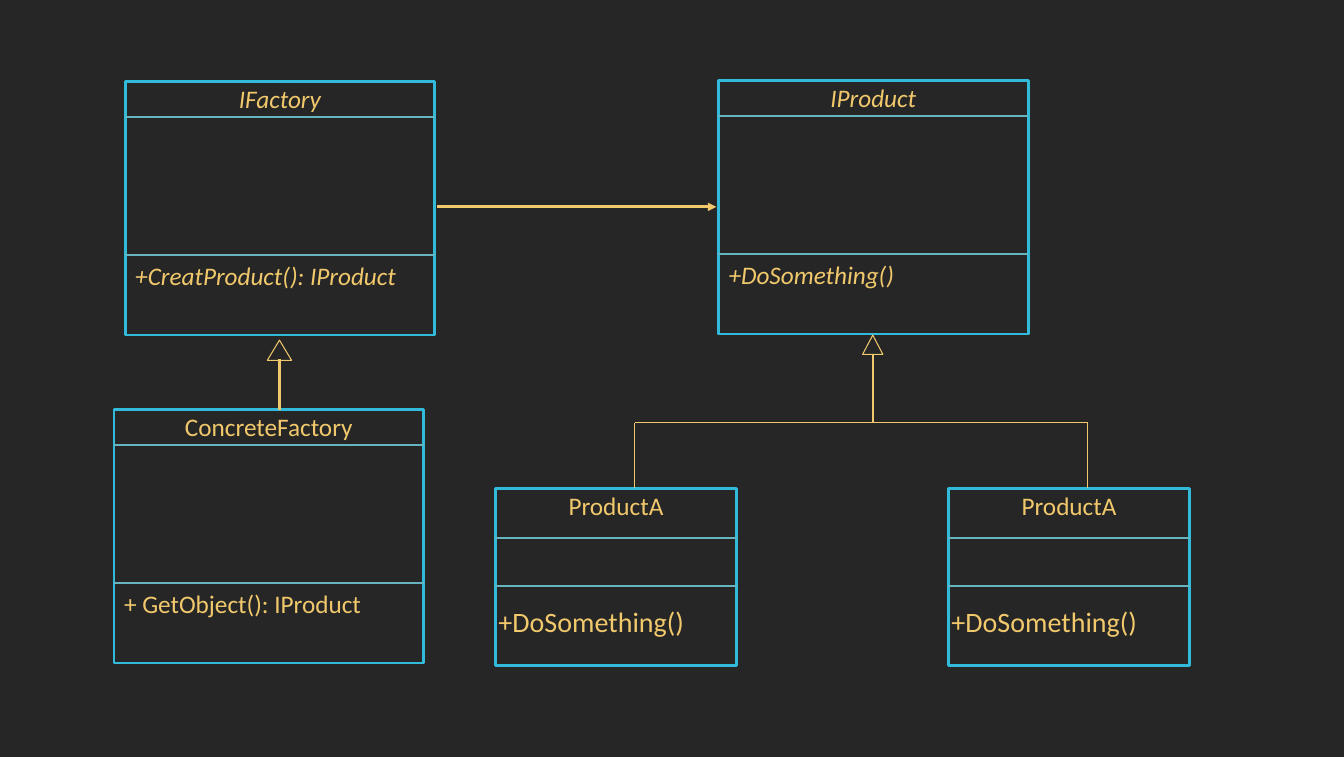
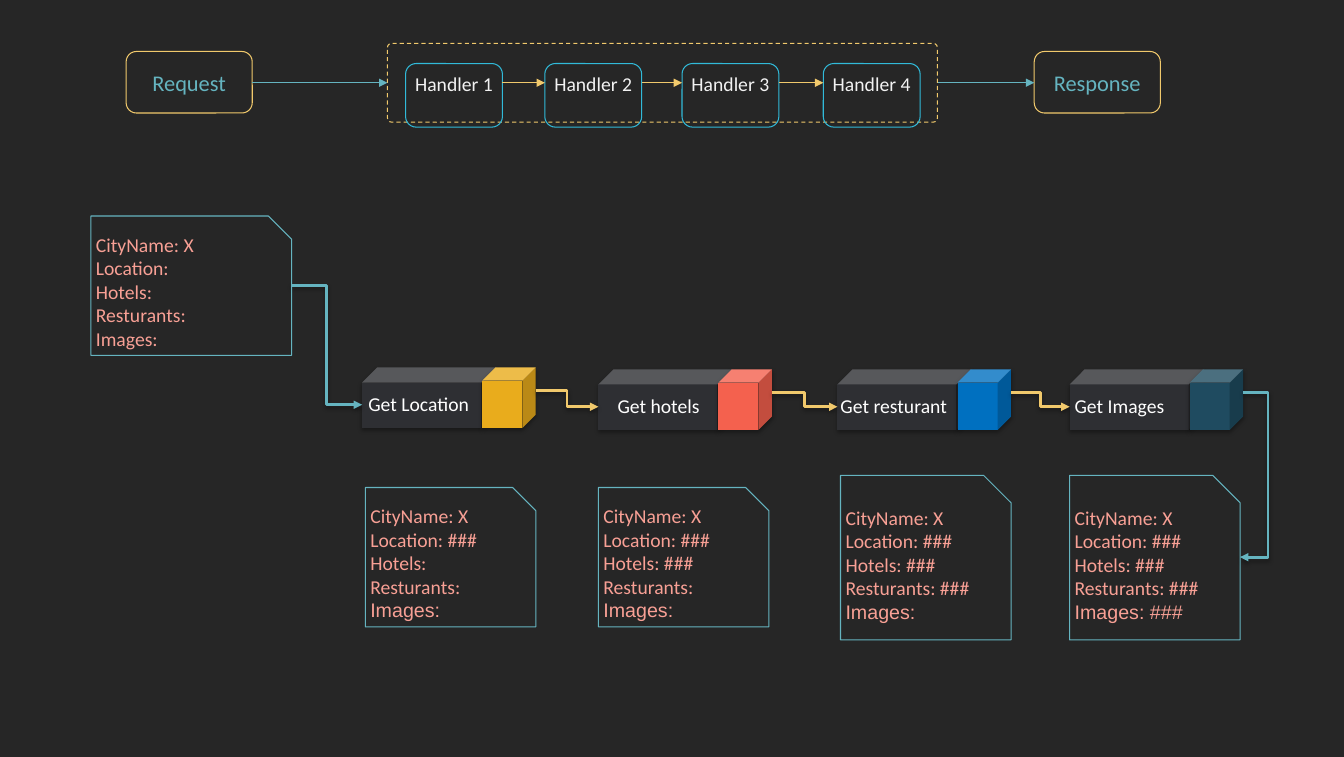
import copy
import dataclasses

import lxml.etree
import pptx
import pptx.dml.color
import pptx.enum.dml
import pptx.enum.shapes
import pptx.enum.text
import pptx.oxml
import pptx.oxml.ns
import pptx.util

SHAPE = pptx.enum.shapes.MSO_SHAPE
CONNECTOR = pptx.enum.shapes.MSO_CONNECTOR
ALIGN = pptx.enum.text.PP_ALIGN
ANCHOR = pptx.enum.text.MSO_ANCHOR


@dataclasses.dataclass(frozen=True)
class Theme:
    background: str = "262626"
    gold: str = "F1C96C"
    cyan: str = "31BAD9"
    teal: str = "65B4C0"
    salmon: str = "F8A095"
    light: str = "F2F2F2"
    white: str = "FFFFFF"
    cube: str = "2E2F33"
    font: str = "Calibri"
    other_font: str = "Arial"
    note_size: int = 14
    step_size: int = 16
    class_size: int = 18
    method_size: int = 20
    hairline: float = 0
    thin: float = 0.75
    medium: float = 1.5
    thick: float = 2
    inset: float = 0.05


theme = Theme()
presentation = pptx.Presentation()
presentation.slide_width = pptx.util.Inches(13.32)
presentation.slide_height = pptx.util.Inches(7.5)

# The grid has 13.32 columns and 7.5 rows
COLUMN = presentation.slide_width / 13.32
ROW = presentation.slide_height / 7.5


def add_box(slide, kind, left, top, width, height, line=None, weight=theme.thin, fill=None,
            text="", size=theme.note_size, colour=theme.gold, align=ALIGN.LEFT,
            anchor=ANCHOR.TOP, italic=False):
    """Add a preset shape, or a text box when kind is None."""
    place = [int(left * COLUMN), int(top * ROW), int(width * COLUMN), int(height * ROW)]
    if kind is None:
        shape = slide.shapes.add_textbox(*place)
    else:
        shape = slide.shapes.add_shape(kind, *place)
        shape.shadow.inherit = False
    if fill:
        shape.fill.solid()
        shape.fill.fore_color.rgb = pptx.dml.color.RGBColor.from_string(fill)
    else:
        shape.fill.background()
    if line:
        shape.line.color.rgb = pptx.dml.color.RGBColor.from_string(line)
        shape.line.width = pptx.util.Pt(weight)
    else:
        shape.line.fill.background()
    if text:
        frame = shape.text_frame
        frame.word_wrap = True
        frame.vertical_anchor = anchor
        frame.margin_left = frame.margin_right = int(theme.inset * COLUMN)
        frame.margin_top = frame.margin_bottom = int(theme.inset * ROW)
        frame.text = text
        for paragraph in frame.paragraphs:
            paragraph.alignment = align
            for run in paragraph.runs:
                run.font.name = theme.font
                run.font.size = pptx.util.Pt(size)
                run.font.italic = italic
                run.font.color.rgb = pptx.dml.color.RGBColor.from_string(colour)
    return shape


def add_line(slide, start, end, colour, weight=theme.thin, arrow=False, kind=CONNECTOR.STRAIGHT):
    """Add a connector from start to end, each given as (column, row)."""
    connector = slide.shapes.add_connector(
        kind, int(start[0] * COLUMN), int(start[1] * ROW), int(end[0] * COLUMN), int(end[1] * ROW))
    connector.line.color.rgb = pptx.dml.color.RGBColor.from_string(colour)
    connector.line.width = pptx.util.Pt(weight)
    if arrow:
        tail = lxml.etree.SubElement(connector.line._get_or_add_ln(), pptx.oxml.ns.qn("a:tailEnd"))
        tail.set("type", "triangle")
    lxml.etree.SubElement(connector._element.spPr, pptx.oxml.ns.qn("a:effectLst"))
    return connector


# Shared background
background = presentation.slide_master.background.fill
background.solid()
background.fore_color.rgb = pptx.dml.color.RGBColor.from_string(theme.background)
blank_layout = presentation.slide_layouts[6]

# Slide 1: factory class diagram
slide = presentation.slides.add_slide(blank_layout)

# Class boxes: size, row splits, method offset and method type size
large = (3.07, 2.51, (0.35, 1.72), (0.05, 1.72), theme.class_size)
small = (2.39, 1.75, (0.49, 0.97), (-0.02, 1.1), theme.method_size)
classes = [
    (1.24, 0.81, large, "IFactory", "+CreatProduct(): IProduct", True),
    (7.12, 0.8, large, "IProduct", "+DoSomething()", True),
    (1.13, 4.06, large, "ConcreteFactory", "+ GetObject(): IProduct", False),
    (4.91, 4.84, small, "ProductA", "+DoSomething()", False),
    (9.4, 4.84, small, "ProductA", "+DoSomething()", False),
]
for left, top, layout, name, method, italic in classes:
    width, height, splits, offset, method_size = layout
    add_box(slide, SHAPE.RECTANGLE, left, top, width, height, theme.cyan, theme.thick)
    for split in splits:
        add_line(slide, (left, top + split), (left + width, top + split), theme.teal, theme.medium)
    add_box(slide, None, left + 0.05, top - 0.03, width - 0.1, 0.4, text=name,
            size=theme.class_size, align=ALIGN.CENTER, italic=italic)
    add_box(slide, None, left + offset[0], top + offset[1], width - 0.05, 0.43, text=method,
            size=method_size, italic=italic)

# Factory uses product
add_line(slide, (4.33, 2.05), (7.1, 2.05), theme.gold, theme.hairline, arrow=True)

# Inheritance of the factory
add_box(slide, SHAPE.ISOSCELES_TRIANGLE, 2.65, 3.37, 0.24, 0.2, theme.gold, theme.hairline)
add_line(slide, (2.77, 3.56), (2.77, 4.06), theme.gold, theme.hairline)

# Inheritance of the products: trunk, bar and one drop for each child
trunk, bar, children = 8.65, 4.19, (6.29, 10.78)
add_box(slide, SHAPE.ISOSCELES_TRIANGLE, trunk - 0.1, 3.32, 0.2, 0.19, theme.gold)
add_line(slide, (trunk, 3.52), (trunk, bar), theme.gold, theme.medium)
add_line(slide, (children[0], bar), (children[1], bar), theme.gold)
for child in children:
    add_line(slide, (child, bar), (child, 4.84), theme.gold)

# Slide 2: chain of handlers
slide = presentation.slides.add_slide(blank_layout)
axis = 0.82

# Request and response
for left, text in ((1.25, "Request"), (10.25, "Response")):
    add_box(slide, SHAPE.ROUNDED_RECTANGLE, left, 0.51, 1.25, 0.61, theme.gold, text=text,
            size=theme.step_size, colour=theme.teal, align=ALIGN.CENTER, anchor=ANCHOR.MIDDLE)

# Handlers in a dashed frame
frame_box = add_box(slide, SHAPE.ROUNDED_RECTANGLE, 3.84, 0.43, 5.45, 0.78,
                    theme.gold, theme.hairline)
frame_box.adjustments[0] = 0.05
frame_box.line.dash_style = pptx.enum.dml.MSO_LINE.DASH
handlers = (4.02, 5.4, 6.76, 8.16)
handler_width = 0.96
for number, left in enumerate(handlers, 1):
    add_box(slide, SHAPE.ROUNDED_RECTANGLE, left, 0.63, handler_width, 0.63, theme.cyan,
            text=f"Handler {number}", colour=theme.light, align=ALIGN.CENTER)
for left, following in zip(handlers, handlers[1:]):
    add_line(slide, (left + handler_width, axis), (following, axis), theme.gold, arrow=True)
for start, end in ((2.5, 3.84), (9.3, 10.25)):
    add_line(slide, (start, axis), (end, axis), theme.teal, arrow=True)

# Stages: a dark cube, a coloured cube and a label
stages = [
    (3.59, 3.64, "E9AC1C", "Get Location", 0.06),
    (5.93, 3.66, "F4614E", "Get hotels", 0.19),
    (8.3, 3.66, "0070C0", "Get resturant", 0.03),
    (10.6, 3.66, "1F4B60", "Get Images", 0.05),
]
raised = []
for left, top, accent, label, indent in stages:
    raised.append(add_box(slide, SHAPE.CUBE, left, top, 1.33, 0.6, fill=theme.cube))
    raised.append(add_box(slide, SHAPE.CUBE, left + 1.19, top, 0.53, 0.6, fill=accent))
    add_box(slide, None, left + indent - theme.inset, top + 0.19, 1.25, 0.4, text=label,
            colour=theme.white)

# Elbow arrows into, between and out of the stages
elbows = [((2.89, 2.83), (3.59, 4.01), theme.teal)]
for stage, following in zip(stages, stages[1:]):
    elbows.append(((stage[0] + 1.72, stage[1] + 0.23), (following[0], 4.03), theme.gold))
elbows.append(((12.32, 3.89), (12.29, 5.52), theme.teal))
for start, end, colour in elbows:
    raised.append(add_line(slide, start, end, colour, theme.thick, True, CONNECTOR.ELBOW))

# The last elbow bends outside its two ends
bend = raised[-1]._element.spPr.find(".//" + pptx.oxml.ns.qn("a:avLst"))
guide = lxml.etree.SubElement(bend, pptx.oxml.ns.qn("a:gd"))
guide.set("name", "adj1")
guide.set("fmla", "val -830000")

# Soft shadow under cubes and elbows
shadow = pptx.oxml.parse_xml(
    f'<a:outerShdw {pptx.oxml.ns.nsdecls("a")} blurRad="{pptx.util.Pt(3)}" '
    f'dist="{pptx.util.Pt(1.8)}" dir="5400000" algn="t" rotWithShape="0">'
    '<a:srgbClr val="000000"><a:alpha val="35000"/></a:srgbClr></a:outerShdw>')
for shape in raised:
    effects = shape._element.spPr.find(pptx.oxml.ns.qn("a:effectLst"))
    effects.append(copy.deepcopy(shadow))

# Notes: each one has one more field filled in
fields = ("Location:", "Hotels:", "Resturants:", "Images:")
notes = [
    (0.9, 2.14, 1.99, 1.38),
    (3.62, 4.83, 1.69, 1.38),
    (5.93, 4.83, 1.69, 1.38),
    (8.33, 4.71, 1.69, 1.63),
    (10.6, 4.71, 1.69, 1.63),
]
for filled, place in enumerate(notes):
    lines = ["CityName: X"]
    for position, field in enumerate(fields):
        lines.append(f"{field} ###" if position < filled else field)
    note = add_box(slide, SHAPE.SNIP_1_RECTANGLE, *place, theme.teal, text="\n".join(lines),
                   colour=theme.salmon, anchor=ANCHOR.MIDDLE)
    if filled:
        note.text_frame.paragraphs[-1].runs[0].font.name = theme.other_font

presentation.save("out.pptx")
